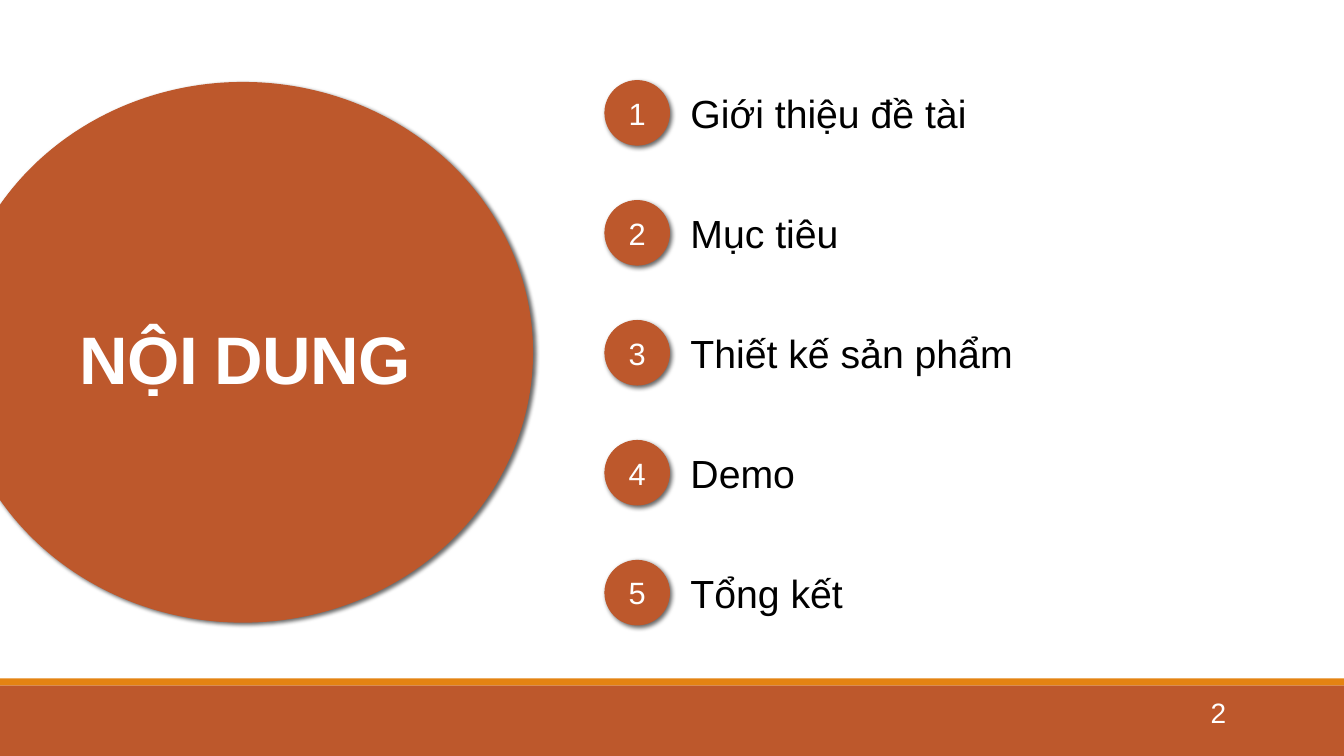
from lxml import etree
from pptx import Presentation
from pptx.dml.color import RGBColor
from pptx.enum.shapes import MSO_SHAPE
from pptx.enum.text import MSO_ANCHOR, MSO_AUTO_SIZE, PP_ALIGN
from pptx.oxml.ns import qn
from pptx.util import Inches, Pt

COLORS = {"rust": "BD582C", "orange": "E48312", "white": "FFFFFF", "black": "000000"}
FONT = "Arial"
TOPICS = [
    ("Giới thiệu đề tài", 3.52),
    ("Mục tiêu", 2.52),
    ("Thiết kế sản phẩm", 4.39),
    ("Demo", 2.52),
    ("Tổng kết", 2.52),
]
FIRST_TOP, ROW_PITCH, BADGE_SIZE = 0.8, 1.19, 0.64


class AgendaSlide:
    def __init__(self, presentation):
        self.slide = presentation.slides.add_slide(presentation.slide_layouts[5])

    def color(self, name):
        return RGBColor.from_string(COLORS[name])

    def set_text(self, shape, text, size, color, align=PP_ALIGN.LEFT, anchor=MSO_ANCHOR.TOP):
        frame = shape.text_frame
        frame.text = text
        frame.word_wrap = True
        frame.vertical_anchor = anchor
        paragraph = frame.paragraphs[0]
        paragraph.alignment = align
        font = paragraph.runs[0].font
        font.name, font.size = FONT, Pt(size)
        font.color.rgb = self.color(color)
        return paragraph

    def shape(self, kind, left, top, width, height, color, line_width=None):
        shape = self.slide.shapes.add_shape(
            kind, Inches(left), Inches(top), Inches(width), Inches(height))
        shape.shadow.inherit = False
        shape.fill.solid()
        shape.fill.fore_color.rgb = self.color(color)
        if line_width:
            shape.line.color.rgb = self.color(color)
            shape.line.width = Pt(line_width)
        else:
            shape.line.fill.background()
        return shape

    def circle(self, left, top, width, height, line_width, blur):
        """Add a rust ellipse with a soft shadow to the lower right."""
        circle = self.shape(MSO_SHAPE.OVAL, left, top, width, height, "rust", line_width)
        effects = circle.element.spPr.find(qn("a:effectLst"))
        shadow = etree.SubElement(
            effects, qn("a:outerShdw"), blurRad=str(Pt(blur)), dist=str(Pt(2)),
            dir="2700000", algn="tl", rotWithShape="0")
        shadow_color = etree.SubElement(shadow, qn("a:srgbClr"), val=COLORS["black"])
        etree.SubElement(shadow_color, qn("a:alpha"), val="60000")
        return circle

    def text_box(self, left, top, width, height, text, size, color, **layout):
        box = self.slide.shapes.add_textbox(
            Inches(left), Inches(top), Inches(width), Inches(height))
        self.set_text(box, text, size, color, **layout)
        return box

    def title(self, left, top, width, height, text):
        title = self.slide.shapes.title
        title.left, title.top = Inches(left), Inches(top)
        title.width, title.height = Inches(width), Inches(height)
        paragraph = self.set_text(title, text, 48, "white", anchor=MSO_ANCHOR.BOTTOM)
        title.text_frame.auto_size = MSO_AUTO_SIZE.NONE
        paragraph.line_spacing = 0.85
        paragraph.runs[0].font.bold = True
        for run_properties in title.element.iter(qn("a:rPr")):
            run_properties.set("spc", "-50")
        # Bring the title in front of the large circle
        title.element.getparent().append(title.element)

    def topic(self, number, top, text, width):
        badge = self.circle(6, top, BADGE_SIZE, BADGE_SIZE, 0.75, 3.5)
        self.set_text(badge, str(number), 22, "white", PP_ALIGN.CENTER, MSO_ANCHOR.MIDDLE)
        frame = badge.text_frame
        frame.margin_left = frame.margin_right = 0
        frame.margin_top = frame.margin_bottom = 0
        label = self.text_box(6.75, top + 0.04, width, 0.57, text, 28, "black")
        label.text_frame.auto_size = MSO_AUTO_SIZE.SHAPE_TO_FIT_TEXT


def main():
    presentation = Presentation()
    presentation.slide_width, presentation.slide_height = Inches(13.33), Inches(7.5)
    agenda = AgendaSlide(presentation)
    agenda.shape(MSO_SHAPE.RECTANGLE, 0, 6.8, 13.33, 0.7, "rust")
    agenda.shape(MSO_SHAPE.RECTANGLE, 0, 6.73, 13.33, 0.07, "orange")
    agenda.circle(-0.46, 0.82, 5.74, 5.35, 1, 3)
    agenda.title(0.69, 2.83, 4.39, 1.17, "NỘI DUNG")
    agenda.text_box(10.83, 6.87, 1.43, 0.4, "2", 20, "white",
                    align=PP_ALIGN.RIGHT, anchor=MSO_ANCHOR.MIDDLE)
    for index, (text, width) in enumerate(TOPICS):
        agenda.topic(index + 1, FIRST_TOP + index * ROW_PITCH, text, width)
    presentation.save("out.pptx")


if __name__ == "__main__":
    main()
